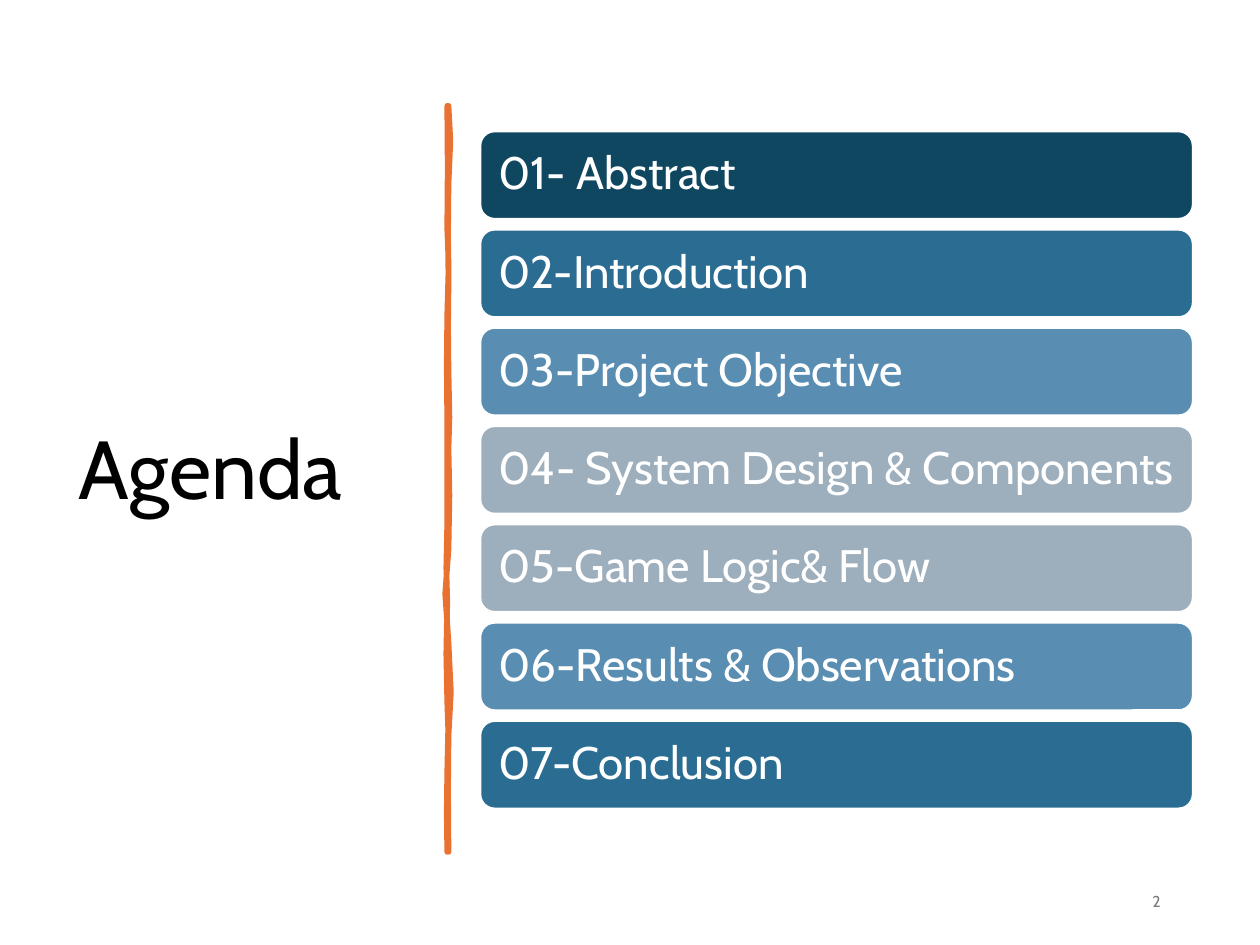
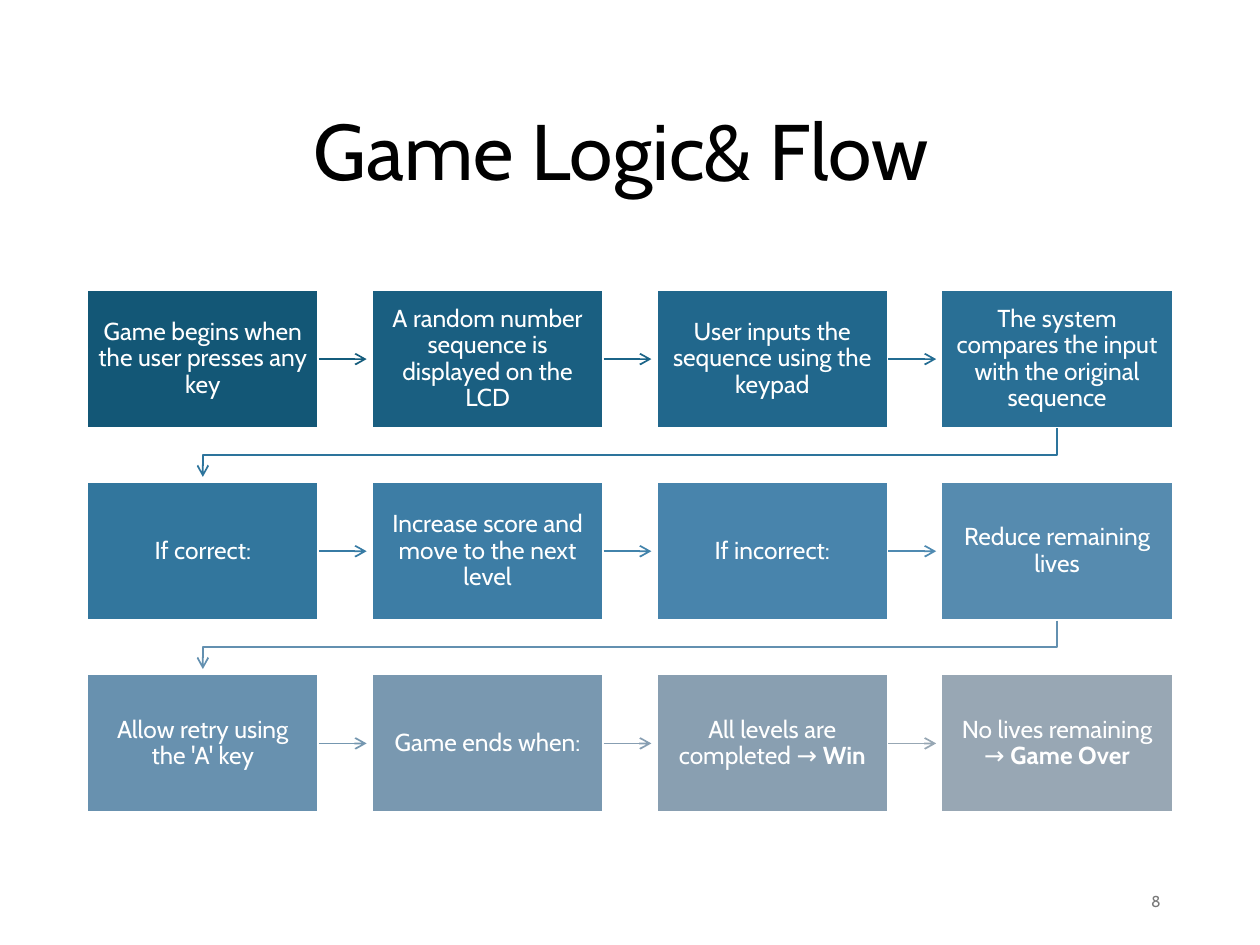
from dataclasses import dataclass

from lxml import etree
from pptx import Presentation
from pptx.dml.color import RGBColor
from pptx.enum.shapes import MSO_CONNECTOR, MSO_SHAPE
from pptx.enum.text import MSO_ANCHOR, MSO_AUTO_SIZE, PP_ALIGN
from pptx.oxml.ns import qn
from pptx.util import Inches, Pt

LEFT, CENTER, RIGHT = PP_ALIGN.LEFT, PP_ALIGN.CENTER, PP_ALIGN.RIGHT
MIDDLE = MSO_ANCHOR.MIDDLE
FIXED_SIZE = MSO_AUTO_SIZE.NONE
RECTANGLE, ROUNDED = MSO_SHAPE.RECTANGLE, MSO_SHAPE.ROUNDED_RECTANGLE
STRAIGHT = MSO_CONNECTOR.STRAIGHT
TITLE_ONLY = 5
RIGHT_SIDE = 3


@dataclass(frozen=True)
class Theme:
    font: str = "Cabin"
    ink: str = "000000"
    paper: str = "FFFFFF"
    page_number: str = "797979"
    accent: str = "E97132"
    navy: str = "104760"
    ocean: str = "2B6D92"
    sky: str = "598EB2"
    mist: str = "9DAEBC"
    agenda_title_size: int = 47
    flow_title_size: int = 45
    agenda_size: int = 26
    step_size: int = 14
    page_number_size: int = 9
    border: float = 1.5
    arrow: float = 1
    divider: float = 3.25


THEME = Theme()


@dataclass(frozen=True)
class Area:
    left: float
    top: float
    width: float
    height: float

    def lengths(self):
        return [Inches(v) for v in (self.left, self.top, self.width, self.height)]


@dataclass(frozen=True)
class Topic:
    text: str
    fill: str


@dataclass(frozen=True)
class Step:
    text: str
    fill: str
    arrow: str = ""
    outcome: str = ""


TOPICS = (
    Topic("01- Abstract", THEME.navy),
    Topic("02-Introduction", THEME.ocean),
    Topic("03-Project Objective", THEME.sky),
    Topic("04- System Design & Components", THEME.mist),
    Topic("05-Game Logic& Flow", THEME.mist),
    Topic("06-Results & Observations", THEME.sky),
    Topic("07-Conclusion", THEME.ocean),
)
FIRST_TOPIC = Area(3.81, 1.04, 5.66, 0.7)
TOPIC_PITCH = 0.78

STEPS = (
    Step("Game begins when the user presses any key", "135776", "145C7C"),
    Step("A random number sequence is displayed on the LCD", "1A5F81", "1B6488"),
    Step("User inputs the sequence using the keypad", "21678C", "236C92"),
    Step("The system compares the input with the original sequence", "296F95", "2D749C"),
    Step("If correct:", "32769D", "377BA4"),
    Step("Increase score and move to the next level", "3D7DA5", "4283AB"),
    Step("If incorrect:", "4884AC", "4F8AB1"),
    Step("Reduce remaining lives", "568BAF", "6390B0"),
    Step("Allow retry using the 'A' key", "6891AF", "7597B0"),
    Step("Game ends when:", "7998B0", "879EB2"),
    Step("All levels are completed → ", "899FB1", "97A7B4", "Win"),
    Step("No lives remaining → ", "98A7B4", outcome="Game Over"),
)
FIRST_STEP = Area(0.69, 2.3, 1.84, 1.1)
COLUMNS = 4
COLUMN_PITCH = 2.26
ROW_PITCH = 3.05 / 2
ARROW_CLEARANCE = 0.04

DIVIDER_START = (3.56, 0.84)
DIVIDER_CURVES = (
    ((3.58, 1.02), (3.58, 1.19), (3.56, 1.46)),
    ((3.54, 1.73), (3.57, 1.95), (3.56, 2.26)),
    ((3.55, 2.57), (3.56, 2.62), (3.56, 2.94)),
    ((3.56, 3.25), (3.58, 3.42), (3.56, 3.56)),
    ((3.54, 3.7), (3.6, 4.14), (3.56, 4.36)),
    ((3.52, 4.57), (3.53, 4.84), (3.56, 5.1)),
    ((3.59, 5.36), (3.58, 5.64), (3.56, 5.84)),
    ((3.54, 6.03), (3.57, 6.5), (3.56, 6.76)),
    ((3.56, 6.75), (3.55, 6.75), (3.55, 6.76)),
    ((3.56, 6.46), (3.53, 6.44), (3.55, 6.13)),
    ((3.56, 5.83), (3.56, 5.7), (3.55, 5.57)),
    ((3.54, 5.44), (3.54, 4.95), (3.55, 4.77)),
    ((3.55, 4.59), (3.53, 4.45), (3.55, 4.15)),
    ((3.56, 3.86), (3.54, 3.73), (3.55, 3.35)),
    ((3.56, 2.98), (3.53, 2.81), (3.55, 2.5)),
    ((3.56, 2.18), (3.57, 2.0), (3.55, 1.81)),
    ((3.52, 1.63), (3.59, 1.04), (3.55, 0.84)),
)
CURVE_PIECES = 2


def rgb(color: str) -> RGBColor:
    return RGBColor.from_string(color)


def write(frame, text: str, *, size: float, color: str, align=LEFT,
          inset: float | None = None, spacing: float = 0.9, bold_end: str = "") -> None:
    frame.word_wrap = True
    frame.auto_size = FIXED_SIZE
    frame.vertical_anchor = MIDDLE
    if inset is not None:
        frame.margin_left = frame.margin_right = Inches(inset)
        frame.margin_top = frame.margin_bottom = Inches(inset)
    paragraph = frame.paragraphs[0]
    paragraph.alignment = align
    paragraph.line_spacing = spacing
    for part, bold in ((text, False), (bold_end, True)):
        if part:
            run = paragraph.add_run()
            run.text = part
            run.font.name = THEME.font
            run.font.size = Pt(size)
            run.font.bold = bold
            run.font.color.rgb = rgb(color)


def add_titled_slide(deck, title: str, area: Area, size: float, align, page: str):
    slide = deck.slides.add_slide(deck.slide_layouts[TITLE_ONLY])
    heading = slide.shapes.title
    heading.left, heading.top, heading.width, heading.height = area.lengths()
    write(heading.text_frame, title, size=size, color=THEME.ink, align=align)
    footer = slide.shapes.add_textbox(*Area(7.06, 6.95, 2.25, 0.4).lengths())
    write(footer.text_frame, page, size=THEME.page_number_size,
          color=THEME.page_number, align=RIGHT, spacing=1.0)
    return slide


def add_panel(slide, preset, area: Area, fill: str):
    panel = slide.shapes.add_shape(preset, *area.lengths())
    panel.shadow.inherit = False
    panel.fill.solid()
    panel.fill.fore_color.rgb = rgb(fill)
    panel.line.color.rgb = rgb(THEME.paper)
    panel.line.width = Pt(THEME.border)
    return panel


def add_outline(slide, points: list[tuple[float, float]], closed: bool):
    corners = [(Inches(x), Inches(y)) for x, y in points]
    builder = slide.shapes.build_freeform(*corners[0])
    builder.add_line_segments(corners[1:], close=closed)
    outline = builder.convert_to_shape()
    outline.shadow.inherit = False
    return outline


def style_arrow(arrow, color: str) -> None:
    arrow.line.color.rgb = rgb(color)
    arrow.line.width = Pt(THEME.arrow)
    properties = arrow._element.spPr
    etree.SubElement(properties.find(qn("a:ln")), qn("a:tailEnd"), type="arrow")
    if properties.find(qn("a:effectLst")) is None:
        etree.SubElement(properties, qn("a:effectLst"))


def divider_points() -> list[tuple[float, float]]:
    points = [DIVIDER_START]
    for bend_out, bend_in, end in DIVIDER_CURVES:
        start = points[-1]
        for piece in range(1, CURVE_PIECES + 1):
            t = piece / CURVE_PIECES
            u = 1 - t
            points.append(tuple(
                u**3 * a + 3 * u * u * t * b + 3 * u * t * t * c + t**3 * d
                for a, b, c, d in zip(start, bend_out, bend_in, end)))
    return points


def build_agenda(deck) -> None:
    slide = add_titled_slide(deck, "Agenda", Area(0.52, 0.7, 2.8, 6.11),
                             THEME.agenda_title_size, LEFT, "2")
    divider = add_outline(slide, divider_points(), True)
    divider.fill.solid()
    divider.fill.fore_color.rgb = rgb(THEME.accent)
    divider.line.color.rgb = rgb(THEME.accent)
    divider.line.width = Pt(THEME.divider)
    for index, topic in enumerate(TOPICS):
        area = Area(FIRST_TOPIC.left, FIRST_TOPIC.top + index * TOPIC_PITCH,
                    FIRST_TOPIC.width, FIRST_TOPIC.height)
        panel = add_panel(slide, ROUNDED, area, topic.fill)
        write(panel.text_frame, topic.text, size=THEME.agenda_size,
              color=THEME.paper, inset=0.11)


def link_across(slide, panel, color: str) -> None:
    middle = panel.top + panel.height // 2
    arrow = slide.shapes.add_connector(
        STRAIGHT, panel.left + panel.width, middle,
        panel.left + Inches(COLUMN_PITCH - ARROW_CLEARANCE), middle)
    arrow.begin_connect(panel, RIGHT_SIDE)
    style_arrow(arrow, color)


def link_to_next_row(slide, area: Area, color: str) -> None:
    start_x = area.left + area.width / 2
    end_x = FIRST_STEP.left + FIRST_STEP.width / 2
    bottom = area.top + area.height
    next_top = area.top + ROW_PITCH
    turn = (bottom + next_top) / 2
    route = add_outline(slide, [(start_x, bottom), (start_x, turn), (end_x, turn),
                                (end_x, next_top - ARROW_CLEARANCE)], False)
    route.fill.background()
    style_arrow(route, color)


def build_flow(deck) -> None:
    slide = add_titled_slide(deck, "Game Logic& Flow ", Area(0.69, 0.61, 8.62, 1.24),
                             THEME.flow_title_size, CENTER, "8")
    for index, step in enumerate(STEPS):
        row, column = divmod(index, COLUMNS)
        area = Area(FIRST_STEP.left + column * COLUMN_PITCH,
                    FIRST_STEP.top + row * ROW_PITCH,
                    FIRST_STEP.width, FIRST_STEP.height)
        panel = add_panel(slide, RECTANGLE, area, step.fill)
        write(panel.text_frame, step.text, size=THEME.step_size, color=THEME.paper,
              align=CENTER, inset=0.09, bold_end=step.outcome)
        if not step.arrow:
            continue
        if column < COLUMNS - 1:
            link_across(slide, panel, step.arrow)
        else:
            link_to_next_row(slide, area, step.arrow)


def main() -> None:
    deck = Presentation()
    deck.slide_width, deck.slide_height = Inches(10), Inches(7.5)
    build_agenda(deck)
    build_flow(deck)
    deck.save("out.pptx")


if __name__ == "__main__":
    main()
